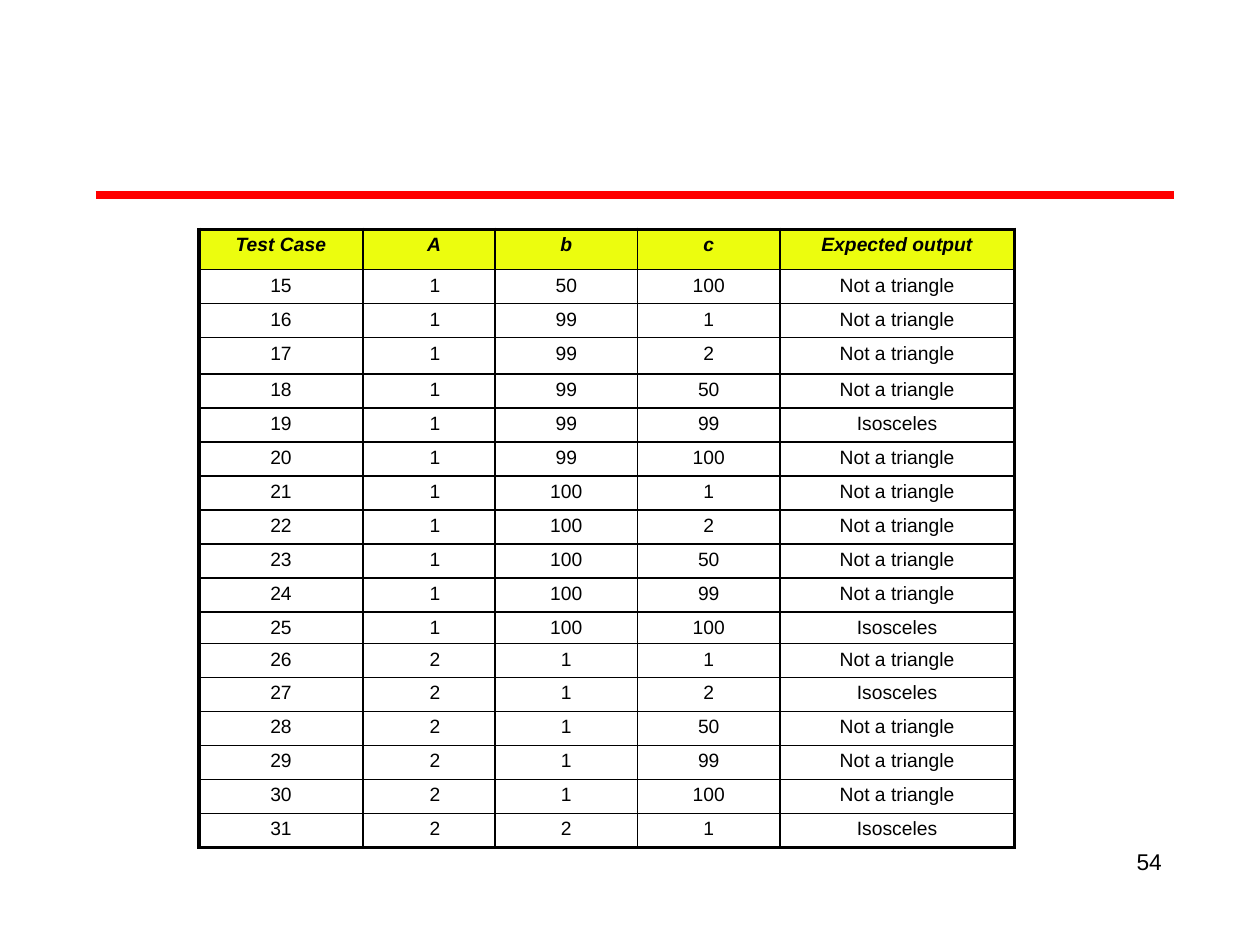
import dataclasses

import lxml.etree
import pptx
import pptx.dml.color
import pptx.enum.shapes
import pptx.enum.text
import pptx.oxml.ns
import pptx.util

Inches = pptx.util.Inches
Pt = pptx.util.Pt
qn = pptx.oxml.ns.qn


@dataclasses.dataclass(frozen=True)
class Theme:
    font: str = "Arial"
    ink: str = "000000"
    rule: str = "FF0000"
    header: str = "ECFD0E"
    cell_size: float = 11
    cell_leading: float = 15.2
    number_size: float = 13
    number_leading: float = 13.2
    rule_width: float = 4.5
    frame_width: float = 2.25
    grid_width: float = 1


class SlideBuilder:
    def __init__(self, slide, theme):
        self.slide = slide
        self.theme = theme

    def color(self, value):
        return pptx.dml.color.RGBColor.from_string(value)

    def set_text(self, frame, text, size, leading, indent=None, emphasis=False):
        paragraph = frame.paragraphs[0]
        paragraph.text = text
        paragraph.line_spacing = Pt(leading)
        paragraph.font.name = self.theme.font
        paragraph.font.size = Pt(size)
        paragraph.font.bold = emphasis
        paragraph.font.italic = emphasis
        paragraph.font.color.rgb = self.color(self.theme.ink)
        if indent is None:
            paragraph.alignment = pptx.enum.text.PP_ALIGN.CENTER
        else:
            paragraph.alignment = pptx.enum.text.PP_ALIGN.LEFT
            paragraph._p.get_or_add_pPr().set("marL", str(Inches(indent)))

    def rule(self, left, top, width):
        line = self.slide.shapes.add_connector(
            pptx.enum.shapes.MSO_CONNECTOR.STRAIGHT,
            Inches(left), Inches(top), Inches(left + width), Inches(top))
        line.line.color.rgb = self.color(self.theme.rule)
        line.line.width = Pt(self.theme.rule_width)
        lxml.etree.SubElement(line._element.spPr, qn("a:effectLst"))

    def borders(self, cell, outer_sides):
        properties = cell._tc.get_or_add_tcPr()
        for side, is_outer in outer_sides.items():
            width = self.theme.frame_width if is_outer else self.theme.grid_width
            border = lxml.etree.SubElement(
                properties, qn(f"a:ln{side}"), w=str(Pt(width)))
            fill = lxml.etree.SubElement(border, qn("a:solidFill"))
            lxml.etree.SubElement(fill, qn("a:srgbClr"), val=self.theme.ink)

    def table(self, left, top, widths, heights, rows, indents):
        grid = self.slide.shapes.add_table(
            len(heights), len(widths), Inches(left), Inches(top),
            Inches(sum(widths)), Inches(sum(heights))).table
        grid.first_row = False
        grid.horz_banding = False
        for column, width in zip(grid.columns, widths):
            column.width = Inches(width)
        for row, height in zip(grid.rows, heights):
            row.height = Inches(height)
        last_row, last_column = len(heights) - 1, len(widths) - 1
        for r, values in enumerate(rows):
            is_header = r == 0
            for c, value in enumerate(values):
                cell = grid.cell(r, c)
                cell.margin_left = cell.margin_right = 0
                cell.margin_top = cell.margin_bottom = 0
                self.borders(cell, {"L": c == 0, "R": c == last_column,
                                    "T": is_header, "B": r == last_row})
                if is_header:
                    cell.fill.solid()
                    cell.fill.fore_color.rgb = self.color(self.theme.header)
                else:
                    cell.fill.background()
                header_indent, body_indent = indents.get(c, (None, None))
                self.set_text(cell.text_frame, str(value), self.theme.cell_size,
                              self.theme.cell_leading,
                              header_indent if is_header else body_indent, is_header)

    def page_number(self, left, top, width, height, number):
        frame = self.slide.shapes.add_textbox(
            Inches(left), Inches(top), Inches(width), Inches(height)).text_frame
        frame.margin_left = frame.margin_right = 0
        frame.margin_top = frame.margin_bottom = 0
        frame.word_wrap = True
        frame.auto_size = pptx.enum.text.MSO_AUTO_SIZE.SHAPE_TO_FIT_TEXT
        self.set_text(frame, str(number), self.theme.number_size,
                      self.theme.number_leading, indent=0.02)


HEADINGS = ("Test Case", "A", "b", "c", "Expected output")
FIRST_CASE = 15
SIDES = [
    (1, 50, 100), (1, 99, 1), (1, 99, 2), (1, 99, 50), (1, 99, 99),
    (1, 99, 100), (1, 100, 1), (1, 100, 2), (1, 100, 50), (1, 100, 99),
    (1, 100, 100), (2, 1, 1), (2, 1, 2), (2, 1, 50), (2, 1, 99),
    (2, 1, 100), (2, 2, 1),
]
ISOSCELES_CASES = {19, 25, 27, 31}
COLUMN_WIDTHS = (1.3, 1.05, 1.13, 1.13, 1.86)
ROW_HEIGHTS = [0.32] + [{17: 0.29, 25: 0.25}.get(case, 0.27)
                        for case in range(FIRST_CASE, FIRST_CASE + len(SIDES))]
SIDE_A_INDENTS = {1: (0.51, 0.53)}


def main():
    deck = pptx.Presentation()
    deck.slide_width = Inches(10)
    deck.slide_height = Inches(7.5)
    builder = SlideBuilder(deck.slides.add_slide(deck.slide_layouts[6]), Theme())
    test_cases = [
        (case, *sides, "Isosceles" if case in ISOSCELES_CASES else "Not a triangle")
        for case, sides in enumerate(SIDES, FIRST_CASE)]
    builder.rule(0.76, 1.55, 8.56)
    builder.table(1.58, 1.82, COLUMN_WIDTHS, ROW_HEIGHTS,
                  [HEADINGS, *test_cases], SIDE_A_INDENTS)
    builder.page_number(9, 6.76, 0.25, 0.18, 54)
    deck.save("out.pptx")


if __name__ == "__main__":
    main()
